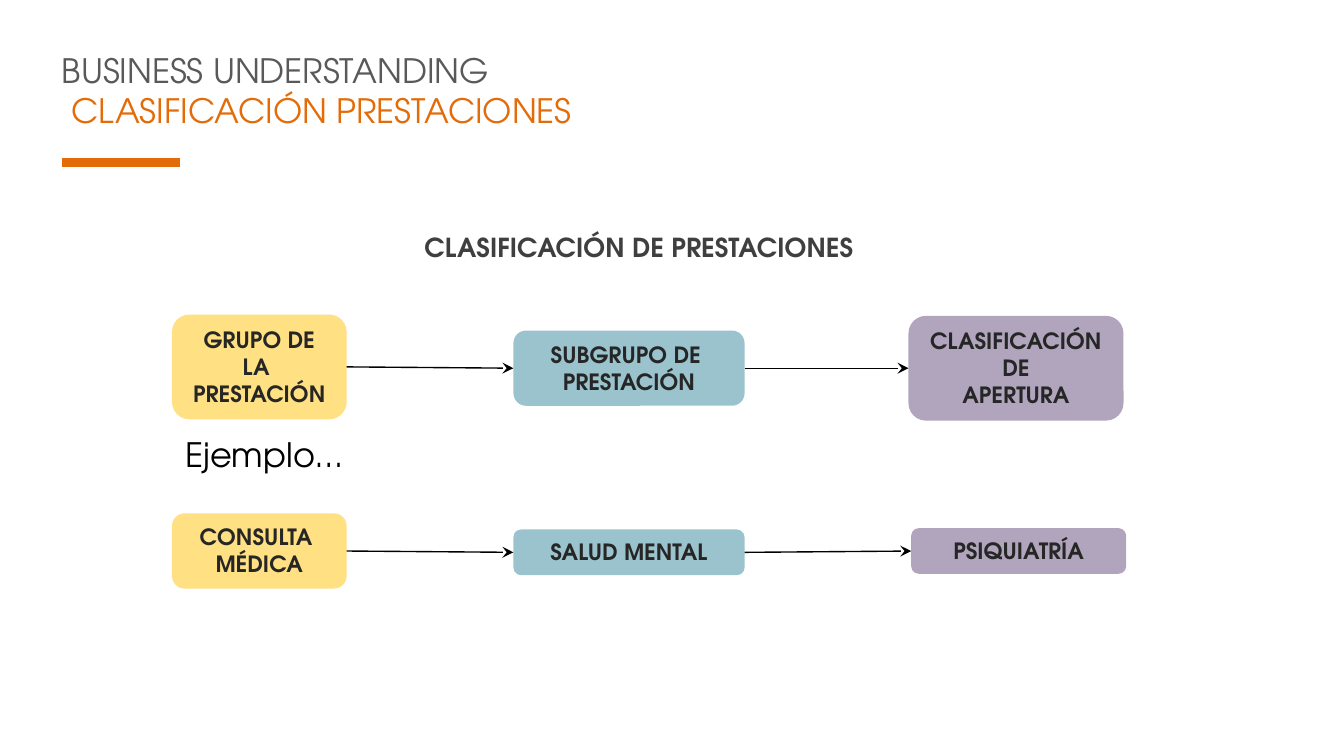
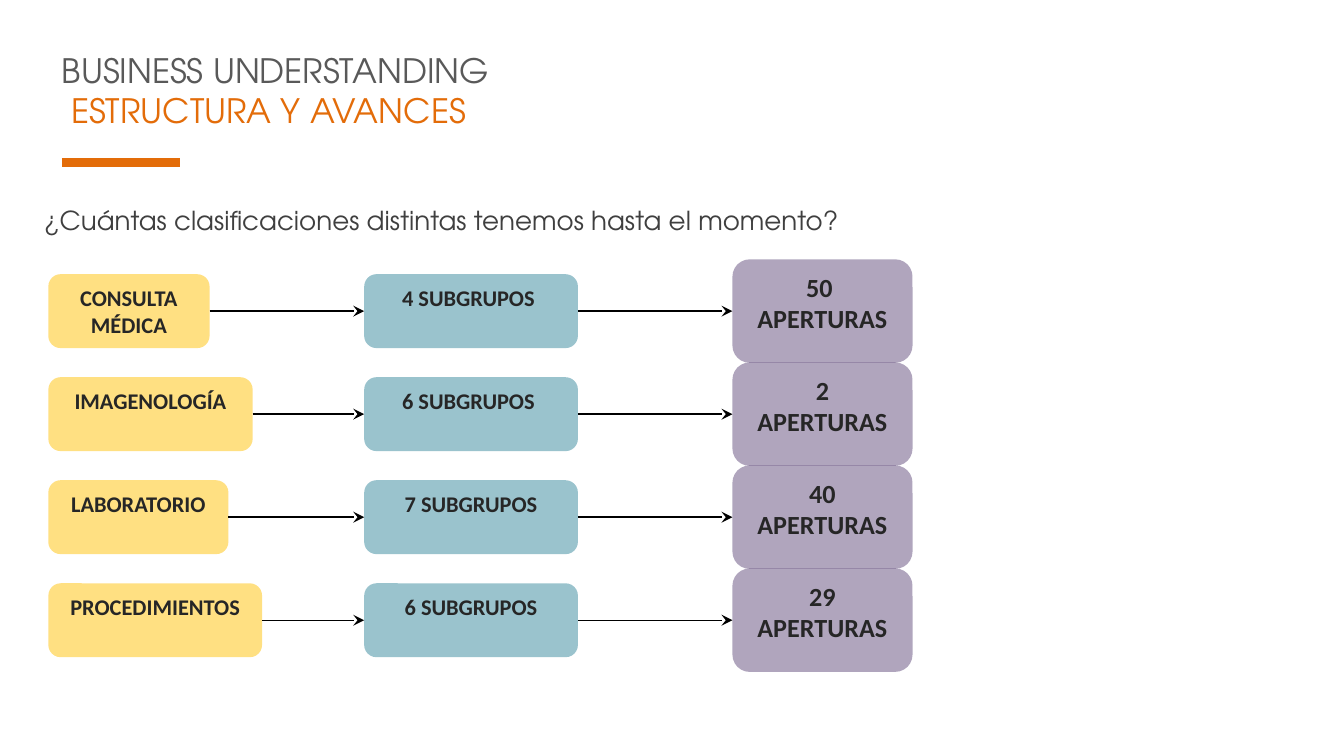
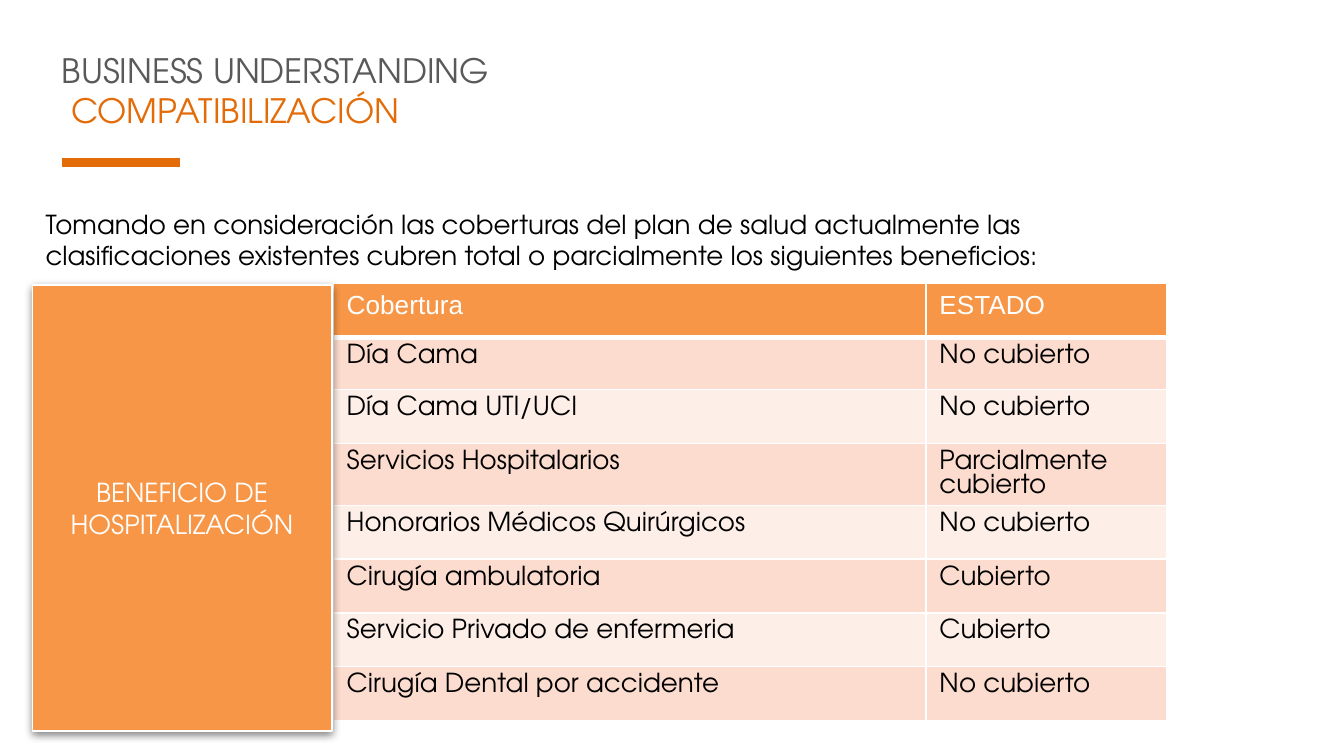
from lxml.etree import SubElement
from pptx import Presentation
from pptx.dml.color import RGBColor
from pptx.enum.shapes import MSO_CONNECTOR, MSO_SHAPE
from pptx.enum.text import MSO_ANCHOR, MSO_AUTO_SIZE, PP_ALIGN
from pptx.oxml.ns import qn
from pptx.util import Inches, Pt

ORANGE = RGBColor(0xE3, 0x6C, 0x09)
GRAY = RGBColor(0x59, 0x59, 0x59)
DARK = RGBColor(0x3F, 0x3F, 0x3F)
INK = RGBColor(0x26, 0x26, 0x26)
BLACK = RGBColor(0, 0, 0)
WHITE = RGBColor(0xFF, 0xFF, 0xFF)
YELLOW = RGBColor(0xFF, 0xC0, 0x00)
TEAL = RGBColor(0x31, 0x85, 0x9B)
PURPLE = RGBColor(0x5F, 0x49, 0x7A)
HEADER = RGBColor(0xF7, 0x96, 0x46)
BAND_DARK = RGBColor(0xFC, 0xDC, 0xCE)
BAND_LIGHT = RGBColor(0xFD, 0xEE, 0xE8)
ADVENTOR = "TeX Gyre Adventor"


def write(tf, text, size, color, font=ADVENTOR, bold=False, align=PP_ALIGN.LEFT, spacing=None):
    tf.word_wrap = True
    tf.auto_size = MSO_AUTO_SIZE.NONE
    tf.vertical_anchor = MSO_ANCHOR.TOP
    tf.text = text
    for p in tf.paragraphs:
        p.alignment = align
        p.line_spacing = spacing
        p.font.name = font
        p.font.size = Pt(size)
        p.font.bold = bold
        p.font.color.rgb = color


def add_line(s, x1, y1, x2, y2, color, width):
    line = s.shapes.add_connector(
        MSO_CONNECTOR.STRAIGHT, Inches(x1), Inches(y1), Inches(x2), Inches(y2))
    line.line.color.rgb = color
    line.line.width = Pt(width)
    SubElement(line._element.spPr, qn("a:effectLst"))
    return line


prs = Presentation()
prs.slide_width = Inches(10)
prs.slide_height = Inches(10 * 9 / 16)

slides = []
for topic, width in [("CLASIFICACIÓN PRESTACIONES", 4.14),
                     ("ESTRUCTURA Y AVANCES", 3.43),
                     ("COMPATIBILIZACIÓN", 3.43)]:
    s = prs.slides.add_slide(prs.slide_layouts[5])
    title = s.shapes.title
    title.left, title.top = Inches(0.36), Inches(0.32)
    title.width, title.height = Inches(width), Inches(0.71)
    write(title.text_frame, f"BUSINESS UNDERSTANDING\n {topic}", 18, GRAY)
    title.text_frame.paragraphs[1].font.color.rgb = ORANGE
    add_line(s, 0.46, 1.21, 1.34, 1.21, ORANGE, 4.5)
    slides.append(s)
classes, progress, coverage = slides

for s, x, y, w, h, text, size, color, bold, align, spacing in [
    (classes, 3.06, 1.6, 6.55, 0.37, "CLASIFICACIÓN DE PRESTACIONES",
     14, DARK, True, PP_ALIGN.JUSTIFY, 1.3),
    (classes, 1.28, 3.18, 1.58, 0.4, "Ejemplo…", 18, BLACK, False, PP_ALIGN.LEFT, None),
    (progress, 0.23, 1.4, 6.55, 0.34,
     "¿Cuántas clasificaciones distintas tenemos hasta el momento?",
     14, DARK, False, PP_ALIGN.JUSTIFY, 1.3),
    (coverage, 0.24, 1.5, 8.31, 0.81,
     "Tomando en consideración las coberturas del plan de salud actualmente las "
     "clasificaciones existentes cubren total o parcialmente los siguientes beneficios:",
     14, BLACK, False, PP_ALIGN.LEFT, None),
]:
    box = s.shapes.add_textbox(Inches(x), Inches(y), Inches(w), Inches(h))
    write(box.text_frame, text, size, color, bold=bold, align=align, spacing=spacing)

flows = [
    (classes, ADVENTOR, [
        ("GRUPO DE LA \vPRESTACIÓN", 12, 1.28, 2.34, 1.3, 0.78),
        ("SUBGRUPO DE \vPRESTACIÓN", 12, 3.82, 2.46, 1.72, 0.56),
        ("CLASIFICACIÓN\vDE\vAPERTURA", 12, 6.76, 2.35, 1.6, 0.78)]),
    (classes, ADVENTOR, [
        ("CONSULTA \vMÉDICA", 12, 1.28, 3.82, 1.3, 0.56),
        ("SALUD MENTAL", 12, 3.82, 3.94, 1.72, 0.34),
        ("PSIQUIATRÍA", 12, 6.78, 3.93, 1.6, 0.34)]),
]
groups = [("CONSULTA\vMÉDICA", 1.2, "4 SUBGRUPOS ", "50 "),
          ("IMAGENOLOGÍA", 1.52, "6 SUBGRUPOS ", "2"),
          ("LABORATORIO", 1.34, "7 SUBGRUPOS", "40"),
          ("PROCEDIMIENTOS", 1.59, "6 SUBGRUPOS", "29")]
for i, (group, width, subgroups, openings) in enumerate(groups):
    y = 2.04 + i * 2.3 / 3
    flows.append((progress, "Calibri", [
        (group, 12, 0.36, y, width, 0.55),
        (subgroups, 12, 2.71, y, 1.59, 0.55),
        (f"{openings}\nAPERTURAS", 14, 5.45, y - 0.11, 1.34, 0.77)]))

for s, font, steps in flows:
    previous = None
    for (text, size, x, y, w, h), color in zip(steps, (YELLOW, TEAL, PURPLE)):
        sp = s.shapes.add_shape(
            MSO_SHAPE.ROUNDED_RECTANGLE, Inches(x), Inches(y), Inches(w), Inches(h))
        sp.shadow.inherit = False
        sp.fill.solid()
        sp.fill.fore_color.rgb = color
        srgb = sp._element.spPr.find(qn("a:solidFill"))[0]
        SubElement(srgb, qn("a:alpha"), val="49000")
        sp.line.fill.background()
        write(sp.text_frame, text, size, INK, font, True, PP_ALIGN.CENTER)
        if previous is not None:
            arrow = add_line(s, 0, 0, 1, 1, BLACK, 0.75)
            arrow.begin_connect(previous, 3)
            arrow.end_connect(sp, 1)
            SubElement(arrow.line._get_or_add_ln(), qn("a:tailEnd"), type="stealth")
        previous = sp

rows = [
    ("Cobertura", "ESTADO"),
    ("Día Cama", "No cubierto"),
    ("Día Cama UTI/UCI", "No cubierto"),
    ("Servicios Hospitalarios", "Parcialmente cubierto"),
    ("Honorarios Médicos Quirúrgicos", "No cubierto"),
    ("Cirugía ambulatoria", "Cubierto"),
    ("Servicio Privado de enfermeria", "Cubierto"),
    ("Cirugía Dental por accidente", "No cubierto"),
]
table = coverage.shapes.add_table(
    len(rows), 2, Inches(2.48), Inches(2.11), Inches(6.2), Inches(3.2)).table
table.columns[0].width = Inches(4.41)
table.columns[1].width = Inches(1.79)
for i, row in enumerate(rows):
    table.rows[i].height = Inches(0.39 if i == 1 else 0.4)
    for j, text in enumerate(row):
        cell = table.cell(i, j)
        if i == 0:
            write(cell.text_frame, text, 14, WHITE, "Arial", None)
        else:
            write(cell.text_frame, text, 14, BLACK)
        cell.margin_left = cell.margin_right = Inches(0.1)
        cell.margin_top = cell.margin_bottom = Inches(0.05)
        cell.vertical_anchor = MSO_ANCHOR.TOP
        tcPr = cell._tc.get_or_add_tcPr()
        for side in ("lnL", "lnR", "lnT", "lnB"):
            thick = (i, side) in ((0, "lnB"), (1, "lnT"))
            ln = SubElement(tcPr, qn(f"a:{side}"), w=str(Pt(3 if thick else 1)))
            SubElement(SubElement(ln, qn("a:solidFill")), qn("a:srgbClr"), val=str(WHITE))
        cell.fill.solid()
        cell.fill.fore_color.rgb = HEADER if i == 0 else BAND_DARK if i % 2 else BAND_LIGHT

sp = coverage.shapes.add_shape(
    MSO_SHAPE.RECTANGLE, Inches(0.24), Inches(2.12), Inches(2.23), Inches(3.32))
sp.fill.solid()
sp.fill.fore_color.rgb = HEADER
sp.line.color.rgb = WHITE
sp.line.width = Pt(0.75)
sp.shadow.inherit = False
shadow = SubElement(sp._element.spPr.find(qn("a:effectLst")), qn("a:outerShdw"),
                    blurRad=str(Pt(4.5)), dist=str(Pt(1.5)), dir="5400000", rotWithShape="0")
shade = SubElement(shadow, qn("a:srgbClr"), val=str(BLACK))
SubElement(shade, qn("a:alpha"), val="50000")
tf = sp.text_frame
write(tf, "BENEFICIO DE HOSPITALIZACIÓN", 14, WHITE, align=PP_ALIGN.CENTER)
tf.vertical_anchor = MSO_ANCHOR.MIDDLE
tf.margin_top = tf.margin_bottom = Inches(0.1)

prs.save("out.pptx")
